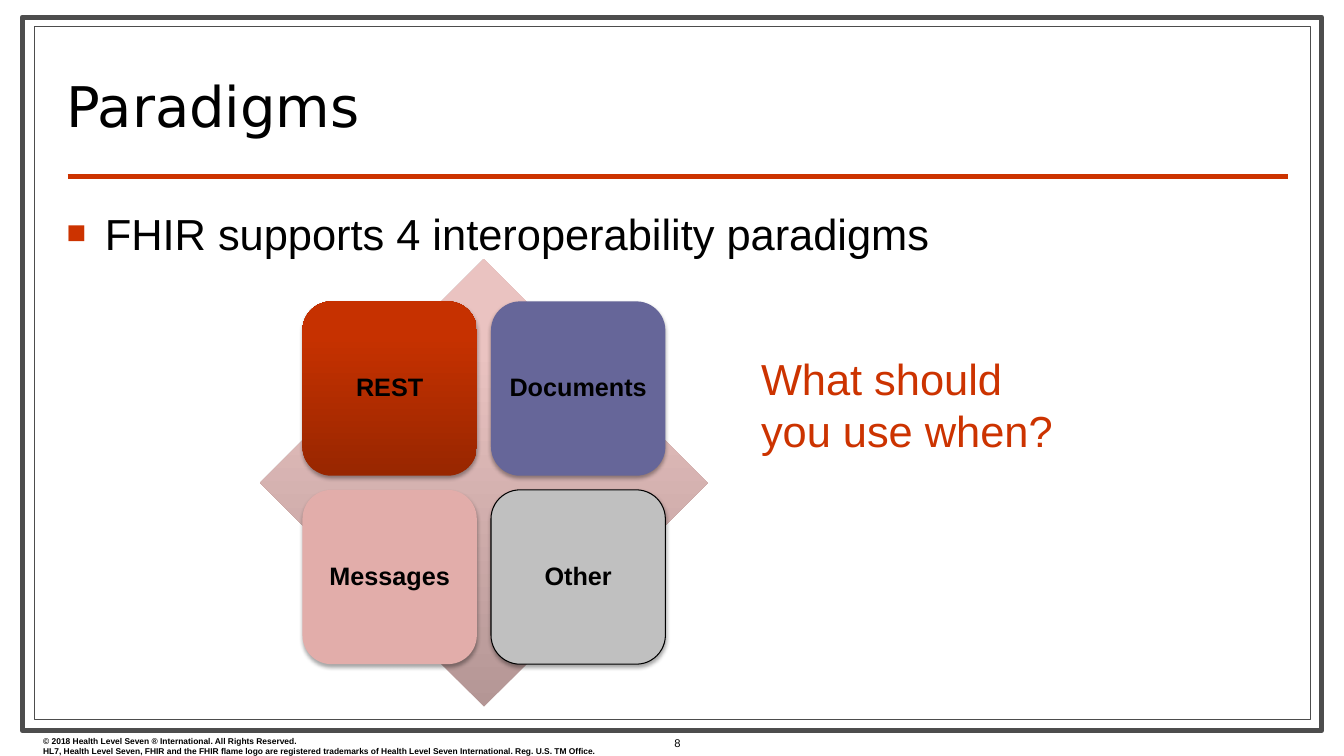
from dataclasses import dataclass

from pptx import Presentation
from pptx.dml.color import RGBColor
from pptx.enum.shapes import MSO_CONNECTOR, MSO_SHAPE
from pptx.enum.text import MSO_ANCHOR, MSO_AUTO_SIZE, PP_ALIGN
from pptx.oxml import parse_xml
from pptx.oxml.ns import nsdecls, qn
from pptx.oxml.xmlchemy import OxmlElement
from pptx.util import Inches, Pt


@dataclass(frozen=True)
class Theme:
    font: str = "Arial"
    title_font: str = "DejaVu Sans"
    black: str = "000000"
    white: str = "FFFFFF"
    frame: str = "4D4D4D"
    accent: str = "CC3300"
    violet: str = "666699"
    pink: str = "E2ADAA"
    grey: str = "C0C0C0"
    red_gradient: tuple = ((0, "982600"), (80, "C63100"), (100, "C73200"))
    pink_gradient: tuple = ((0, "B49695"), (80, "EAC3C1"), (100, "ECC3C1"))
    title: float = 40
    body: float = 31
    label: float = 18
    number: float = 8
    legal: float = 6


class SlideBuilder:
    def __init__(self, prs, theme):
        self.theme = theme
        self.slide = prs.slides.add_slide(prs.slide_layouts[1])

    def set_text(self, sp, text, size, color=None, bold=False, font=None,
                 align=PP_ALIGN.LEFT, anchor=MSO_ANCHOR.TOP):
        tf = sp.text_frame
        tf.text = text
        tf.word_wrap = True
        tf.auto_size = MSO_AUTO_SIZE.NONE
        tf.vertical_anchor = anchor
        for p in tf.paragraphs:
            p.alignment = align
            p.space_before = Pt(0)
            for r in p.runs:
                r.font.name = font or self.theme.font
                r.font.size = Pt(size)
                r.font.bold = bold
                r.font.color.rgb = RGBColor.from_string(color or self.theme.black)
        return tf

    def place(self, sp, x, y, w, h):
        sp.left, sp.top, sp.width, sp.height = map(Inches, (x, y, w, h))

    def title(self, text, *box):
        sp = self.slide.shapes.title
        self.place(sp, *box)
        tf = self.set_text(sp, text, self.theme.title, font=self.theme.title_font,
                           anchor=MSO_ANCHOR.BOTTOM)
        tf.paragraphs[0].line_spacing = 0.8

    def bullets(self, text, *box):
        sp = self.slide.placeholders[1]
        self.place(sp, *box)
        tf = self.set_text(sp, text, self.theme.body)
        for p in tf.paragraphs:
            pPr = p._p.get_or_add_pPr()
            pPr.set("marL", str(Inches(0.38)))
            pPr.set("indent", str(-Inches(0.38)))
            color = OxmlElement("a:buClr")
            rgb = OxmlElement("a:srgbClr")
            rgb.set("val", self.theme.accent)
            color.append(rgb)
            size = OxmlElement("a:buSzPct")
            size.set("val", "75000")
            char = OxmlElement("a:buChar")
            char.set("char", "■")
            pPr.extend([color, size, char])

    def text(self, text, size, *box, **style):
        sp = self.slide.shapes.add_textbox(*map(Inches, box))
        self.set_text(sp, text, size, **style)

    def shape(self, kind, fill, *box, line=None, line_width=0.75):
        sp = self.slide.shapes.add_shape(kind, *map(Inches, box))
        sp.shadow.inherit = False
        if isinstance(fill, tuple):
            self.gradient(sp, fill)
        else:
            sp.fill.solid()
            sp.fill.fore_color.rgb = RGBColor.from_string(fill)
        if line:
            sp.line.color.rgb = RGBColor.from_string(line)
            sp.line.width = Pt(line_width)
        else:
            sp.line.fill.background()
        return sp

    def gradient(self, sp, stops):
        # Runs from the bottom edge to the top edge
        gs = "".join(f'<a:gs pos="{pos * 1000}"><a:srgbClr val="{color}"/></a:gs>'
                     for pos, color in stops)
        sp.fill.background()
        spPr = sp._element.spPr
        spPr.replace(spPr.find(qn("a:noFill")), parse_xml(
            f'<a:gradFill {nsdecls("a")} rotWithShape="1"><a:gsLst>{gs}</a:gsLst>'
            '<a:lin ang="16200000" scaled="0"/></a:gradFill>'))

    def tile(self, text, fill, *box, line=None):
        sp = self.shape(MSO_SHAPE.ROUNDED_RECTANGLE, fill, *box, line=line)
        sp._element.spPr.find(qn("a:effectLst")).append(parse_xml(
            f'<a:outerShdw {nsdecls("a")} blurRad="{Pt(3.1)}" dist="{Pt(1.8)}" '
            f'dir="5400000" rotWithShape="0"><a:srgbClr val="{self.theme.black}">'
            '<a:alpha val="35000"/></a:srgbClr></a:outerShdw>'))
        tf = self.set_text(sp, text, self.theme.label, bold=True,
                           align=PP_ALIGN.CENTER, anchor=MSO_ANCHOR.MIDDLE)
        tf.margin_left = tf.margin_right = Inches(0.07)
        tf.paragraphs[0].line_spacing = 0.9

    def rule(self, x1, x2, y, color, width):
        cn = self.slide.shapes.add_connector(
            MSO_CONNECTOR.STRAIGHT, *map(Inches, (x1, y, x2, y)))
        cn.line.color.rgb = RGBColor.from_string(color)
        cn.line.width = Pt(width)
        cn._element.spPr.append(OxmlElement("a:effectLst"))

    def send_placeholders_forward(self):
        tree = self.slide.shapes._spTree
        for sp in list(self.slide.placeholders):
            tree.append(sp._element)


def main():
    theme = Theme()
    prs = Presentation()
    prs.slide_width, prs.slide_height = Inches(13.33), Inches(7.5)
    s = SlideBuilder(prs, theme)

    # Double frame, title rule and legal line
    s.shape(MSO_SHAPE.RECTANGLE, theme.white, 0.22, 0.17, 12.89, 7.08,
            line=theme.frame, line_width=3.5)
    s.shape(MSO_SHAPE.RECTANGLE, theme.white, 0.34, 0.26, 12.66, 6.88, line=theme.frame)
    s.rule(0.67, 12.77, 1.75, theme.accent, 3)
    s.text("© 2018 Health Level Seven ® International. All Rights Reserved.\n"
           "HL7, Health Level Seven, FHIR and the FHIR flame logo are registered trademarks "
           "of Health Level Seven International. Reg. U.S. TM Office.",
           theme.legal, 0.33, 7.25, 6.44, 0.3, bold=True)

    # Title, list and slide number
    s.title("Paradigms", 0.56, 0.52, 10.2, 0.9)
    s.bullets("FHIR supports 4 interoperability paradigms", 0.56, 2, 12.22, 4.83)
    s.send_placeholders_forward()
    s.text("8", theme.number, 6.33, 7.25, 0.78, 0.25,
           align=PP_ALIGN.CENTER, anchor=MSO_ANCHOR.MIDDLE)

    # Four paradigms on a diamond
    s.shape(MSO_SHAPE.DIAMOND, theme.pink_gradient, 2.58, 2.57, 4.44, 4.44)
    paradigms = [("REST", theme.red_gradient, None),
                 ("Documents", theme.violet, None),
                 ("Messages", theme.pink, None),
                 ("Other", theme.grey, theme.black)]
    side, pitch = 1.73, 1.87
    for i, (name, fill, line) in enumerate(paradigms):
        row, col = divmod(i, 2)
        s.tile(name, fill, 3 + col * pitch, 2.99 + row * pitch, side, side, line=line)

    # Question
    s.text("What should you use when?", theme.body, 7.45, 3.44, 3.23, 1.42,
           color=theme.accent)

    prs.save("out.pptx")


if __name__ == "__main__":
    main()
